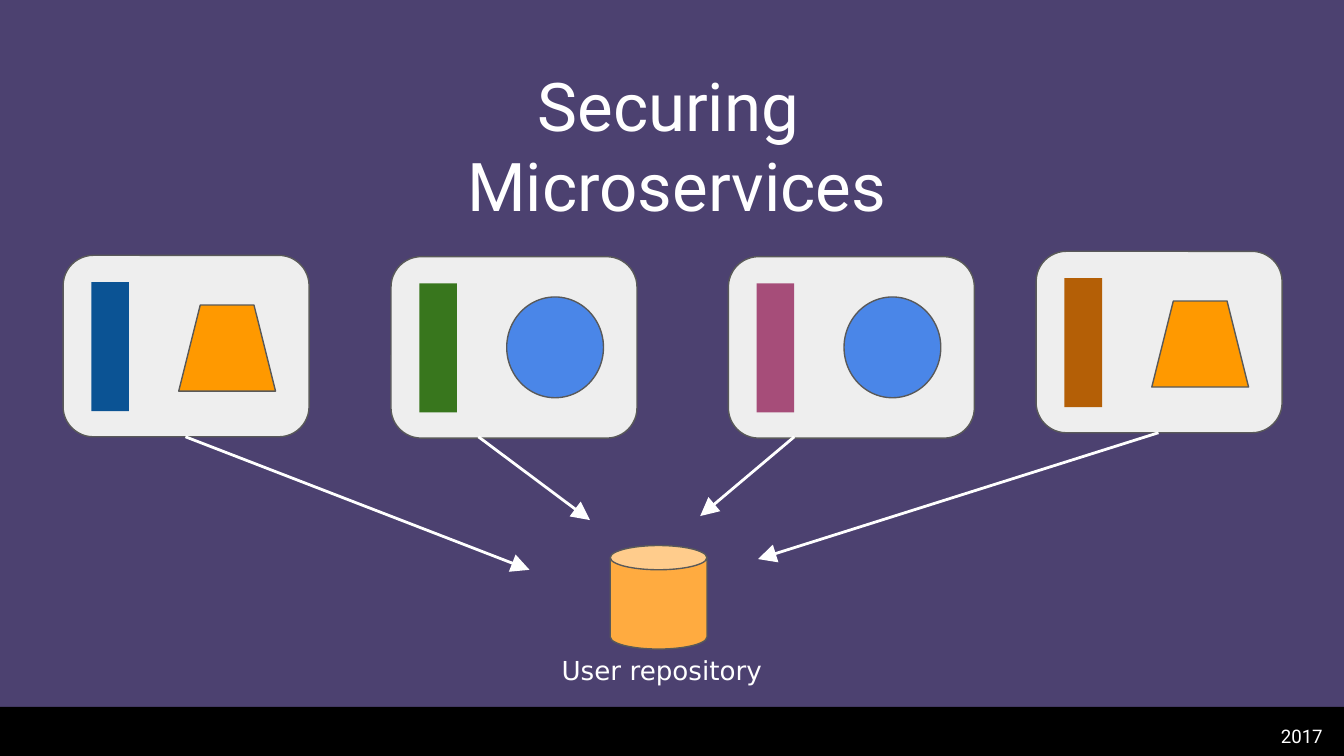
from lxml import etree
from pptx import Presentation
from pptx.dml.color import RGBColor
from pptx.enum.shapes import MSO_CONNECTOR, MSO_SHAPE as SHAPE
from pptx.enum.text import MSO_ANCHOR as ANCHOR, PP_ALIGN as ALIGN
from pptx.oxml.ns import qn
from pptx.util import Inches, Pt

COLORS = {
    "backdrop": "20124D", "footer": "000000", "white": "FFFFFF",
    "card": "EEEEEE", "outline": "595959", "orange": "FF9900",
    "circle": "4A86E8", "database": "FFAB40", "blue": "0B5394",
    "green": "38761D", "pink": "A64D79", "brown": "B45F06",
}


def rgb(name):
    return RGBColor.from_string(COLORS[name])


def write(tf, text, size=14, font="Roboto", color="white",
          align=ALIGN.LEFT, anchor=ANCHOR.TOP):
    """Fill a text frame, one paragraph per line of text."""
    tf.word_wrap = True
    tf.vertical_anchor = anchor
    tf.margin_left = tf.margin_right = Inches(0.1)
    tf.margin_top = tf.margin_bottom = Inches(0.1)
    for i, line in enumerate(text.split("\n")):
        p = tf.add_paragraph() if i else tf.paragraphs[0]
        p.alignment = align
        r = p.add_run()
        r.text = line
        r.font.size, r.font.name = Pt(size), font
        r.font.color.rgb = rgb(color)


class Builder:
    """Holds the current slide and the drawing style."""

    outline_width = Pt(0.75)
    arrow_width = Pt(1.5)

    def __init__(self, slide):
        self.slide = slide
        self.shapes = slide.shapes

    def title(self, text, *box, **fmt):
        sp = self.shapes.title
        sp.left, sp.top, sp.width, sp.height = map(Inches, box)
        write(sp.text_frame, text, **fmt)
        # Bring the title in front of the backdrop
        sp.element.getparent().append(sp.element)

    def text(self, text, *box, **fmt):
        sp = self.shapes.add_textbox(*map(Inches, box))
        write(sp.text_frame, text, **fmt)

    def shape(self, kind, fill, *box, outlined=True, opacity=100):
        sp = self.shapes.add_shape(kind, *map(Inches, box))
        sp.shadow.inherit = False
        sp.fill.solid()
        sp.fill.fore_color.rgb = rgb(fill)
        if opacity < 100:
            clr = sp.element.spPr.find(".//" + qn("a:srgbClr"))
            etree.SubElement(clr, qn("a:alpha"), val=str(opacity * 1000))
        if outlined:
            sp.line.color.rgb = rgb("outline")
            sp.line.width = self.outline_width
        else:
            sp.line.fill.background()

    def arrow(self, *ends):
        s = self.shapes.add_connector(MSO_CONNECTOR.STRAIGHT, *map(Inches, ends))
        s.line.color.rgb = rgb("white")
        s.line.width = self.arrow_width
        ln = s.element.spPr.find(qn("a:ln"))
        etree.SubElement(ln, qn("a:tailEnd"), type="triangle", w="lg", len="lg")
        etree.SubElement(s.element.spPr, qn("a:effectLst"))

    def service(self, x, y, bar, symbol):
        """Draw a service card with its coloured bar and its symbol."""
        self.shape(SHAPE.ROUNDED_RECTANGLE, "card", x, y, 1.83, 1.35)
        self.shape(SHAPE.RECTANGLE, bar, x + 0.21, y + 0.2, 0.28, 0.96,
                   outlined=False)
        if symbol == SHAPE.TRAPEZOID:
            self.shape(symbol, "orange", x + 0.86, y + 0.37, 0.72, 0.64)
        else:
            self.shape(symbol, "circle", x + 0.86, y + 0.3, 0.72, 0.75)


def main():
    prs = Presentation()
    prs.slide_width = Inches(10)
    prs.slide_height = prs.slide_width * 9 // 16
    b = Builder(prs.slides.add_slide(prs.slide_layouts[5]))

    b.shape(SHAPE.RECTANGLE, "backdrop", 0, 0, 10, 5.27, outlined=False, opacity=80)
    b.shape(SHAPE.RECTANGLE, "footer", 0, 5.26, 10, 0.37, outlined=False)
    b.text("2017", 8.53, 5.31, 1.41, 0.22, size=10, align=ALIGN.RIGHT)
    b.title("Securing \nMicroservices", 0.99, 0.4, 8.09, 1.35, size=36,
            align=ALIGN.CENTER, anchor=ANCHOR.MIDDLE)

    services = [
        (0.47, 1.9, "blue", SHAPE.TRAPEZOID),
        (2.91, 1.91, "green", SHAPE.OVAL),
        (5.42, 1.91, "pink", SHAPE.OVAL),
        (7.71, 1.87, "brown", SHAPE.TRAPEZOID),
    ]
    for service in services:
        b.service(*service)

    b.shape(SHAPE.CAN, "database", 4.54, 4.06, 0.72, 0.77)
    b.text("User repository", 4.08, 4.77, 1.91, 0.36, font="DejaVu Sans")

    arrows = [
        (1.38, 3.25, 3.94, 4.24),
        (3.56, 3.25, 4.39, 3.87),
        (5.91, 3.25, 5.21, 3.84),
        (8.62, 3.22, 5.64, 4.16),
    ]
    for ends in arrows:
        b.arrow(*ends)

    prs.save("out.pptx")


if __name__ == "__main__":
    main()
